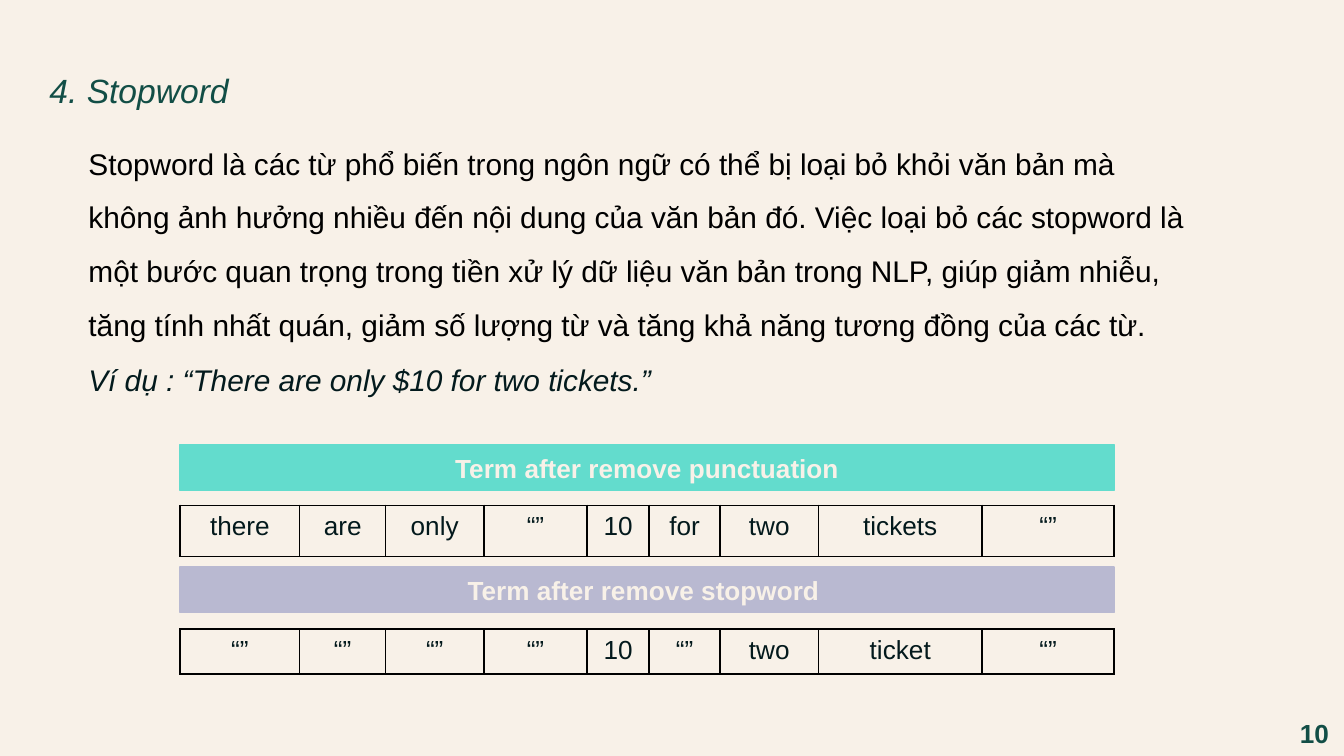
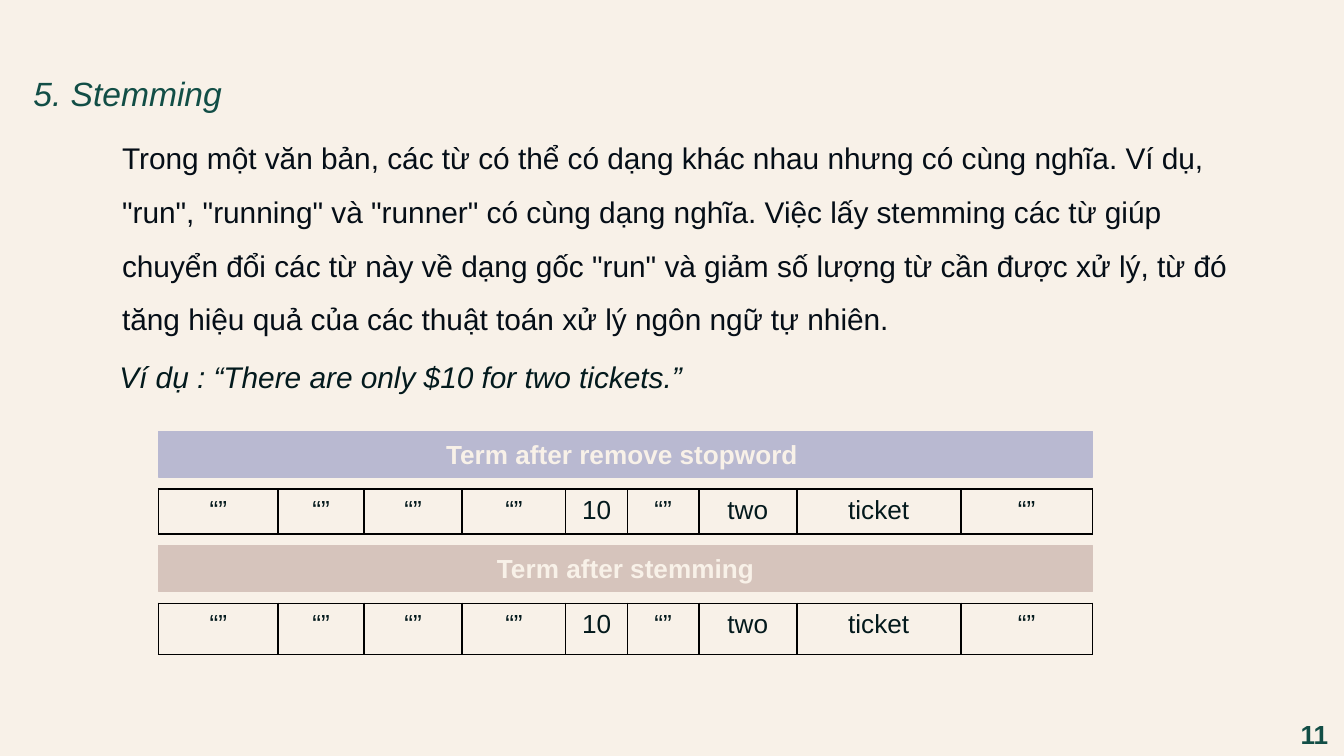
from dataclasses import dataclass

from lxml.etree import SubElement
from pptx import Presentation
from pptx.dml.color import RGBColor
from pptx.enum.shapes import MSO_SHAPE
from pptx.enum.text import MSO_AUTO_SIZE, PP_ALIGN
from pptx.oxml.ns import qn
from pptx.util import Inches, Pt

# Shared look
COLORS = {
    "paper": "F8F1E8",
    "green": "124E46",
    "example": "031A1D",
    "cell": "03191C",
    "black": "000000",
    "navy": "050E17",
    "turquoise": "63DCCD",
    "lilac": "B9B9D1",
    "rose": "D6C4BC",
}
FONT = "Arial"

# Square grid: 100 columns by 56.25 rows
WIDTH, HEIGHT = Inches(10), Inches(5.625)
UNIT = WIDTH // 100
TERM_COLUMNS = (8.9, 6.4, 7.3, 7.7, 4.6, 5.3, 7.3, 12.2, 9.8)
BAND_ROWS = 3.4
EXAMPLE = "Ví dụ : “There are only $10 for two tickets.”"
STOPWORD_BAND = "Term after remove stopword "
REMOVED = "“”"
KEPT_TERMS = (*[REMOVED] * 4, "10", REMOVED, "two", "ticket", REMOVED)


@dataclass(frozen=True)
class Area:
    left: float
    top: float
    width: float
    height: float

    def emu(self) -> list[int]:
        return [round(units * UNIT)
                for units in (self.left, self.top, self.width, self.height)]


@dataclass(frozen=True)
class Band:
    text: str
    color: str
    top: float


@dataclass(frozen=True)
class TermRow:
    terms: tuple[str, ...]
    top: float
    height: float


@dataclass(frozen=True)
class Lesson:
    title: str
    title_area: Area
    body: str
    body_area: Area
    body_color: str
    body_indent: float
    example_area: Area
    left: float
    bands: tuple[Band, ...]
    rows: tuple[TermRow, ...]
    number: str
    number_top: float


LESSONS = (
    Lesson(
        title="4. Stopword",
        title_area=Area(2.7, 3.2, 29.3, 5),
        body="Stopword là các từ phổ biến trong ngôn ngữ có thể bị loại bỏ khỏi "
             "văn bản mà không ảnh hưởng nhiều đến nội dung của văn bản đó. Việc "
             "loại bỏ các stopword là một bước quan trọng trong tiền xử lý dữ liệu "
             "văn bản trong NLP, giúp giảm nhiễu, tăng tính nhất quán, giảm số "
             "lượng từ và tăng khả năng tương đồng của các từ.",
        body_area=Area(5.6, 9, 84.1, 16.7),
        body_color="black",
        body_indent=0,
        example_area=Area(5.6, 26.4, 50, 3.7),
        left=13.4,
        bands=(Band("Term after remove punctuation", "turquoise", 33.1),
               Band(STOPWORD_BAND, "lilac", 42.2)),
        rows=(TermRow(("there", "are", "only", REMOVED, "10", "for", "two",
                       "tickets", REMOVED), 37.6, 3.8),
              TermRow(KEPT_TERMS, 46.8, 3.3)),
        number="10",
        number_top=52.9,
    ),
    Lesson(
        title="5. Stemming",
        title_area=Area(1.5, 3.4, 29.3, 5),
        body="Trong một văn bản, các từ có thể có dạng khác nhau nhưng có cùng "
             'nghĩa. Ví dụ, "run", "running" và "runner" có cùng dạng nghĩa. Việc '
             "lấy stemming các từ giúp chuyển đổi các từ này về dạng gốc \"run\" và "
             "giảm số lượng từ cần được xử lý, từ đó tăng hiệu quả của các thuật "
             "toán xử lý ngôn ngữ tự nhiên.",
        body_area=Area(6.6, 8.6, 86.9, 16.7),
        body_color="navy",
        body_indent=1.5,
        example_area=Area(7.9, 26.2, 50, 3.7),
        left=11.8,
        bands=(Band(STOPWORD_BAND, "lilac", 32.1),
               Band("Term after stemming", "rose", 40.6)),
        rows=(TermRow(KEPT_TERMS, 36.4, 3.3),
              TermRow(KEPT_TERMS, 44.9, 3.8)),
        number="11",
        number_top=53,
    ),
)


def rgb(name: str) -> RGBColor:
    return RGBColor.from_string(COLORS[name])


def write(frame, text: str, *, size: float = 14, color: str = "cell",
          bold: bool = False, italic: bool = False, centered: bool = False,
          spacing: float = 1, indent: float = 0) -> None:
    """Put one formatted paragraph into a text frame."""
    para = frame.paragraphs[0]
    para.alignment = PP_ALIGN.CENTER if centered else PP_ALIGN.LEFT
    para.line_spacing = spacing
    if indent:
        para._p.get_or_add_pPr().set("marL", str(round(indent * UNIT)))
    span = para.add_run()
    span.text = text
    font = span.font
    font.name, font.size, font.bold, font.italic = FONT, Pt(size), bold, italic
    font.color.rgb = rgb(color)


def add_text(page, area: Area, text: str, **style) -> None:
    frame = page.shapes.add_textbox(*area.emu()).text_frame
    frame.word_wrap = True
    frame.auto_size = MSO_AUTO_SIZE.SHAPE_TO_FIT_TEXT
    write(frame, text, **style)


def add_band(page, left: float, band: Band) -> None:
    area = Area(left, band.top, sum(TERM_COLUMNS), BAND_ROWS)
    box = page.shapes.add_shape(MSO_SHAPE.RECTANGLE, *area.emu())
    box.shadow.inherit = False
    box.fill.solid()
    box.fill.fore_color.rgb = rgb(band.color)
    box.line.color.rgb = rgb(band.color)
    box.line.width = Pt(0.75)
    box.text_frame.word_wrap = True
    write(box.text_frame, band.text, color="paper", bold=True, centered=True)


def outline(cell) -> None:
    """Give a cell four black borders, placed ahead of its fill."""
    properties = cell._tc.get_or_add_tcPr()
    for position, side in enumerate(("lnL", "lnR", "lnT", "lnB")):
        line = SubElement(properties, qn(f"a:{side}"), w=str(Pt(1)))
        fill = SubElement(line, qn("a:solidFill"))
        SubElement(fill, qn("a:srgbClr"), val=COLORS["black"])
        properties.insert(position, line)


def add_terms(page, left: float, row: TermRow) -> None:
    area = Area(left, row.top, sum(TERM_COLUMNS), row.height)
    table = page.shapes.add_table(1, len(TERM_COLUMNS), *area.emu()).table
    table.first_row = table.horz_banding = False
    for column, width, cell, term in zip(table.columns, TERM_COLUMNS,
                                         table.iter_cells(), row.terms):
        column.width = round(width * UNIT)
        cell.fill.background()
        outline(cell)
        write(cell.text_frame, term, centered=True)


def add_lesson(deck, lesson: Lesson) -> None:
    page = deck.slides.add_slide(deck.slide_layouts[6])
    page.background.fill.solid()
    page.background.fill.fore_color.rgb = rgb("paper")

    # Explanation
    add_text(page, lesson.body_area, lesson.body, size=16, spacing=1.5,
             color=lesson.body_color, indent=lesson.body_indent)

    # Terms before and after the step
    for band, row in zip(lesson.bands, lesson.rows):
        add_band(page, lesson.left, band)
        add_terms(page, lesson.left, row)

    # Example, title and page number
    add_text(page, lesson.example_area, EXAMPLE, size=16, color="example", italic=True)
    add_text(page, lesson.title_area, lesson.title, size=18, color="green",
             italic=True, spacing=1.5)
    add_text(page, Area(95.6, lesson.number_top, 4.4, 3.3), lesson.number,
             color="green", bold=True, centered=True)


def main() -> None:
    deck = Presentation()
    deck.slide_width, deck.slide_height = WIDTH, HEIGHT
    for lesson in LESSONS:
        add_lesson(deck, lesson)
    deck.save("out.pptx")


if __name__ == "__main__":
    main()
